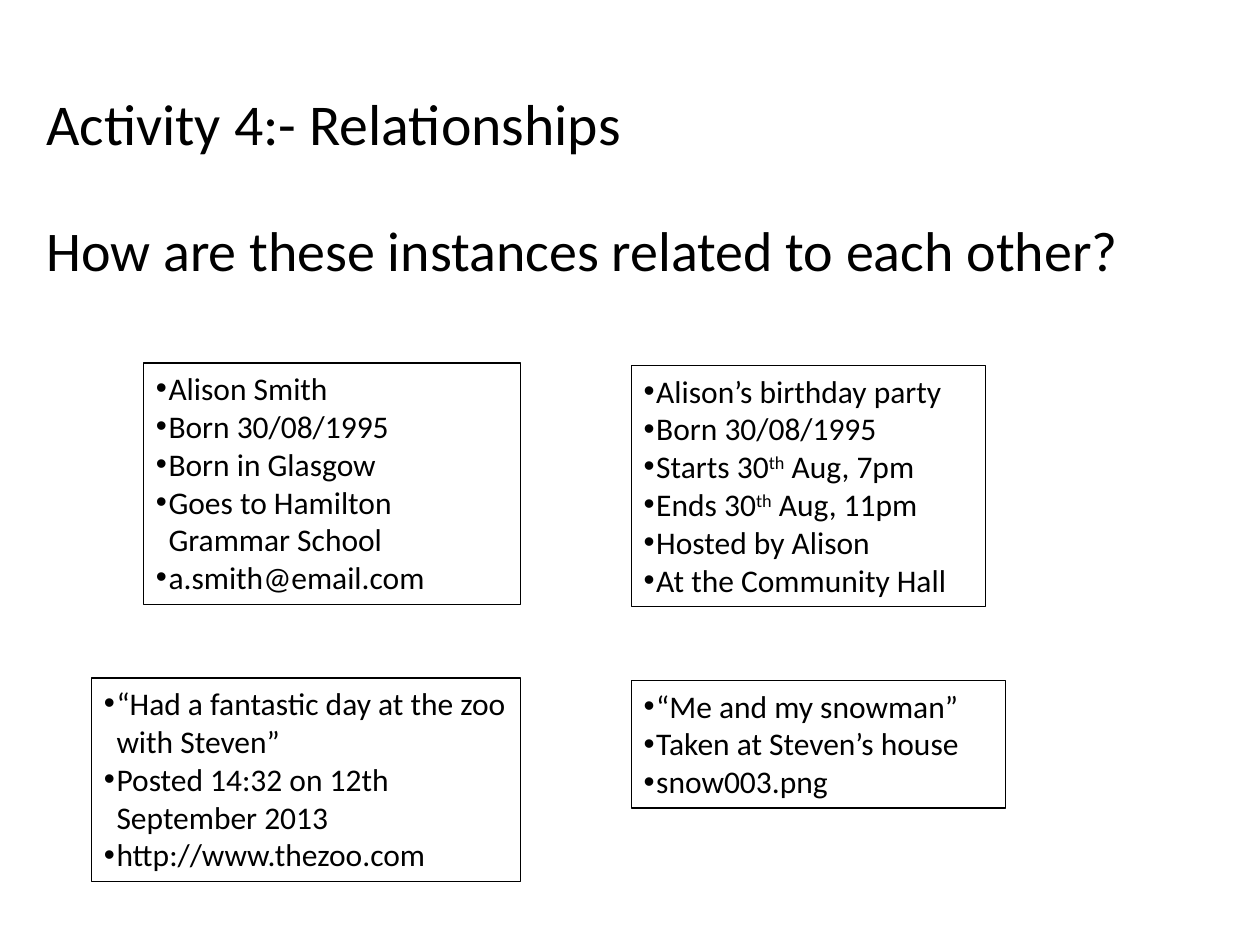
from lxml import etree
from pptx import Presentation
from pptx.dml.color import RGBColor
from pptx.enum.shapes import MSO_SHAPE
from pptx.enum.text import MSO_ANCHOR, MSO_AUTO_SIZE, PP_ALIGN
from pptx.oxml.ns import qn
from pptx.util import Pt

RECTANGLE = MSO_SHAPE.RECTANGLE
TOP, MIDDLE = MSO_ANCHOR.TOP, MSO_ANCHOR.MIDDLE
LEFT = PP_ALIGN.LEFT
GROW, FIXED = MSO_AUTO_SIZE.SHAPE_TO_FIT_TEXT, MSO_AUTO_SIZE.NONE

# Content: text between carets is superscript
TITLE = "Activity 4:- Relationships"
QUESTION = "How are these instances related to each other?"
INSTANCES = [
    {"place": (82, 207.4, 215.4, 138), "facts": [
        "Alison Smith", "Born 30/08/1995", "Born in Glasgow",
        "Goes to Hamilton Grammar School", "a.smith@email.com"]},
    {"place": (360.7, 208.8, 202.3, 138), "facts": [
        "Alison’s birthday party", "Born 30/08/1995",
        "Starts 30^th^ Aug, 7pm", "Ends 30^th^ Aug, 11pm",
        "Hosted by Alison", "At the Community Hall"]},
    {"place": (52.3, 387.4, 245, 116.4), "facts": [
        "“Had a fantastic day at the zoo with Steven”",
        "Posted 14:32 on 12th September 2013", "http://www.thezoo.com"]},
    {"place": (360.7, 388.8, 214, 73), "facts": [
        "“Me and my snowman”", "Taken at Steven’s house", "snow003.png"]},
]
TITLE_PLACE = (19.4, 31.7, 643.7, 82)
QUESTION_PLACE = (19.4, 119.5, 681.8, 46)

THEME = {
    "font": "Calibri", "ink": RGBColor(0, 0, 0),
    "title": 33, "question": 32, "fact": 18,
    "line": 0.75, "indent": 7.2,
}


def set_all(target, values):
    for name, value in values.items():
        setattr(target, name, value)


def place(shape, bounds):
    sides = ("left", "top", "width", "height")
    set_all(shape, {side: Pt(size) for side, size in zip(sides, bounds)})


def add_bullet(para):
    props = para._p.get_or_add_pPr()
    indent = Pt(THEME["indent"])
    props.set("marL", str(indent))
    props.set("indent", str(-indent))
    etree.SubElement(props, qn("a:buFont")).set("typeface", "Arial")
    etree.SubElement(props, qn("a:buChar")).set("char", "•")


def write(shape, lines, size, anchor=TOP, fit=GROW, spacing=1.0, bullets=False):
    frame = shape.text_frame
    set_all(frame, {"word_wrap": True, "auto_size": fit, "vertical_anchor": anchor})
    for index, line in enumerate(lines):
        para = frame.add_paragraph() if index else frame.paragraphs[0]
        set_all(para, {"alignment": LEFT, "line_spacing": spacing})
        if bullets:
            add_bullet(para)
        for part, text in enumerate(line.split("^")):
            span = para.add_run()
            span.text = text
            set_all(span.font, {"name": THEME["font"], "size": Pt(size)})
            span.font.color.rgb = THEME["ink"]
            if part % 2:
                span._r.get_or_add_rPr().set("baseline", "30000")


deck = Presentation()
set_all(deck, {"slide_width": Pt(720), "slide_height": Pt(540)})
page = deck.slides.add_slide(deck.slide_layouts[5])

# Title and question
place(page.shapes.title, TITLE_PLACE)
write(page.shapes.title, [TITLE], THEME["title"], MIDDLE, FIXED, 0.9)
question = page.shapes.add_textbox(*map(Pt, QUESTION_PLACE))
write(question, [QUESTION], THEME["question"])

# Instance boxes
for instance in INSTANCES:
    box = page.shapes.add_shape(RECTANGLE, *map(Pt, instance["place"]))
    box.shadow.inherit = False
    box.fill.background()
    box.line.color.rgb = THEME["ink"]
    box.line.width = Pt(THEME["line"])
    write(box, instance["facts"], THEME["fact"], bullets=True)

deck.save("out.pptx")
